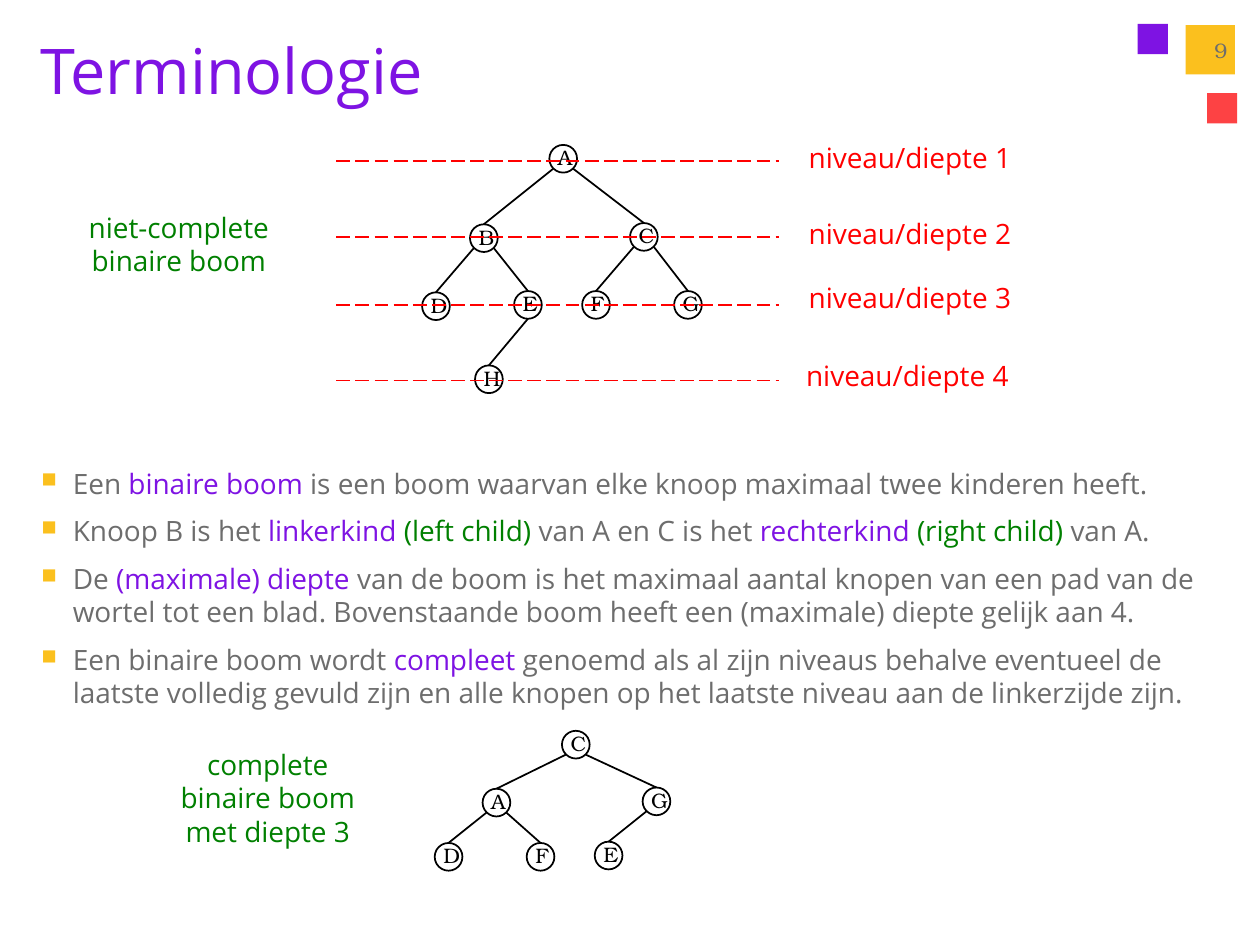
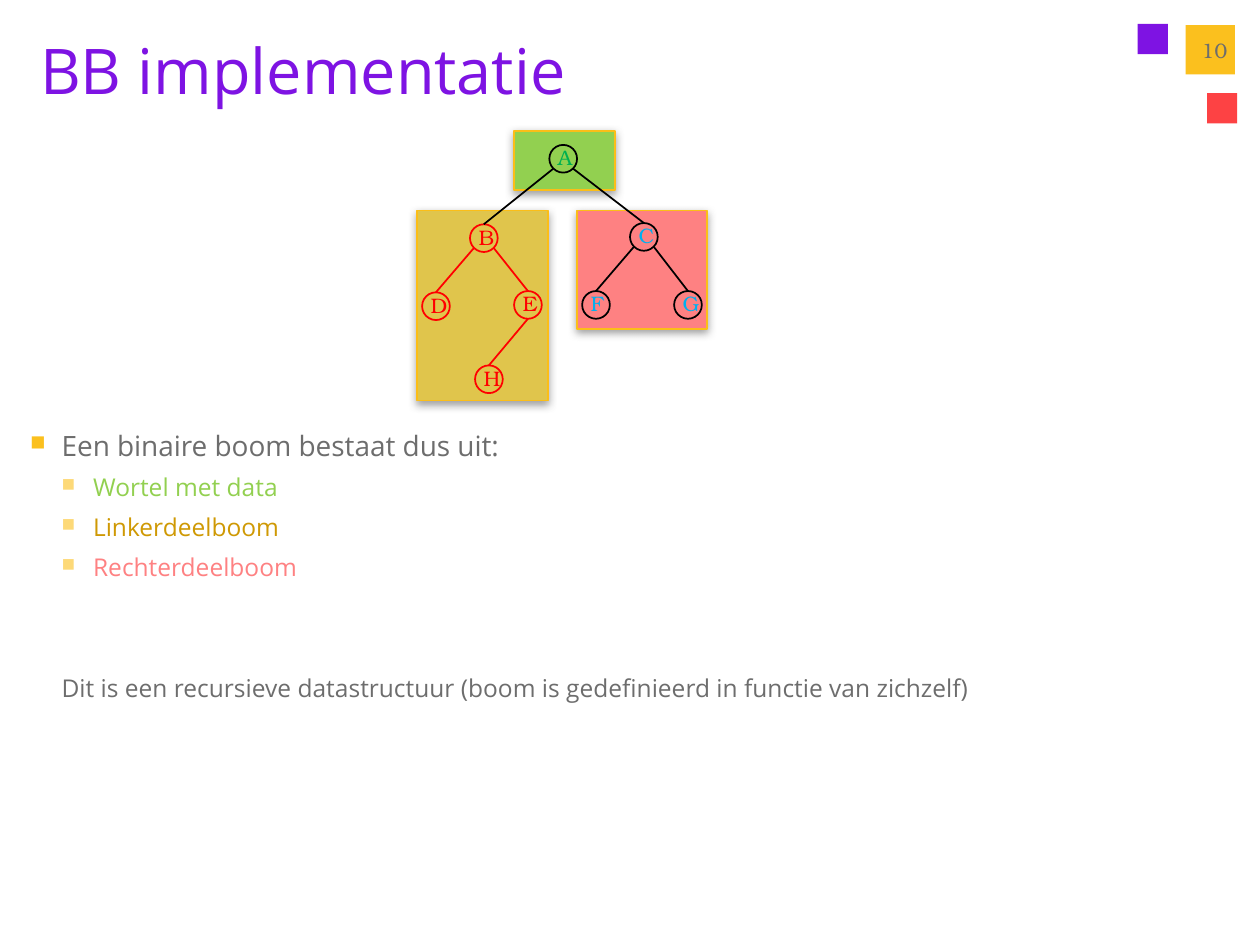
"""Build two slides on binary trees: terminology and implementation."""
from lxml import etree
from pptx import Presentation
from pptx.dml.color import RGBColor
from pptx.enum.dml import MSO_LINE
from pptx.enum.shapes import MSO_CONNECTOR, MSO_SHAPE
from pptx.enum.text import MSO_ANCHOR, PP_ALIGN
from pptx.oxml.ns import qn
from pptx.util import Inches, Pt

RECTANGLE, ELLIPSE = MSO_SHAPE.RECTANGLE, MSO_SHAPE.OVAL
STRAIGHT, LONG_DASH = MSO_CONNECTOR.STRAIGHT, MSO_LINE.LONG_DASH
CENTER, RIGHT = PP_ALIGN.CENTER, PP_ALIGN.RIGHT
TOP, MIDDLE = MSO_ANCHOR.TOP, MSO_ANCHOR.MIDDLE
SANS, SERIF = "Open Sans", "TeX Gyre Bonum"

COLORS = {
    "purple": "7E13E3", "coral": "FD4244", "gold": "FBC01E", "pale gold": "FDD978",
    "gray": "6D6D6D", "black": "000000", "red": "FF0000", "green": "008000",
    "blue": "00B0F0", "leaf": "00B050", "lime": "92D050", "mustard": "E0C54C",
    "salmon": "FE8182", "ochre": "CF9904", "border": "FBBE18", "shadow": "808080",
}
DECORATIONS = [
    ("purple", 9.03, 0.19, 0.24), ("coral", 9.58, 0.74, 0.24), ("gold", 9.41, 0.2, 0.39),
]

BIG_TREE = {
    "A": (4.47, 1.26), "B": (3.84, 1.89), "C": (5.11, 1.88), "D": (3.46, 2.43),
    "E": (4.19, 2.42), "F": (4.73, 2.42), "G": (5.46, 2.42), "H": (3.88, 3.01),
}
BIG_EDGES = {"AB": -1, "AC": 1, "BD": -1, "BE": 1, "CF": -1, "CG": 1, "EH": 0}
SMALL_TREE = {
    "C": (4.57, 5.91), "A": (3.94, 6.37), "G": (5.21, 6.36),
    "D": (3.56, 6.8), "F": (4.29, 6.8), "E": (4.83, 6.79),
}
SMALL_EDGES = {"CA": -1, "CG": 1, "AD": -1, "AF": 1, "GE": -1}
LEFT_SUBTREE = {node: "red" for node in "BDEH"}
SUBTREE_INKS = {**LEFT_SUBTREE, "A": "leaf", "C": "blue", "F": "blue", "G": "blue"}

LEVELS = [(1.28, 6.32, 1.07), (1.88, 6.32, 1.67), (2.42, 6.32, 2.18), (3.02, 6.3, 2.8)]
CAPTIONS = [
    (0.59, 1.62, 1.66, 0.64, ["niet-complete", "binaire boom"]),
    (1.33, 5.88, 1.59, 0.91, ["complete", "binaire boom", "met diepte 3"]),
]
DEFINITIONS = [
    [("Een ", "gray"), ("binaire boom ", "purple"),
     ("is een boom waarvan elke knoop maximaal twee kinderen heeft.", "gray")],
    [("Knoop B is het ", "gray"), ("linkerkind ", "purple"), ("(left child) ", "green"),
     ("van A en C is het ", "gray"), ("rechterkind ", "purple"),
     ("(right child) ", "green"), ("van A.", "gray")],
    [("De ", "gray"), ("(maximale) diepte ", "purple"),
     ("van de boom is het maximaal aantal knopen van een pad van de wortel tot een blad. "
      "Bovenstaande boom heeft een (maximale) diepte gelijk aan 4.", "gray")],
    [("Een binaire boom wordt ", "gray"), ("compleet", "purple"),
     (" genoemd als al zijn niveaus behalve eventueel de laatste volledig gevuld zijn "
      "en alle knopen op het laatste niveau aan de linkerzijde zijn.", "gray")],
]
PANELS = [
    ("lime", 4.08, 1.04, 0.8, 0.47), ("salmon", 4.58, 1.67, 1.03, 0.94),
    ("mustard", 3.31, 1.67, 1.04, 1.51),
]
PARTS = [
    ("Wortel met data", "lime"), ("Linkerdeelboom", "ochre"), ("Rechterdeelboom", "salmon"),
]

MAIN = {"size": 16, "indent": 0.25, "bullet": "gold", "before": 8}
SUB = {"size": 14, "indent": 0.5, "bullet": "pale gold", "before": 6, "level": 1}
CLOSING = {"size": 14, "indent": 0.25, "before": 52, "level": 1}


def rgb(name):
    return RGBColor.from_string(COLORS[name])


def add_bullet(para, indent, color):
    """Set the hanging indent and the square bullet of a paragraph."""
    props = para._p.get_or_add_pPr()
    props.set("marL", str(Inches(indent)))
    if color is None:
        props.set("indent", "0")
        etree.SubElement(props, qn("a:buNone"))
        return
    props.set("indent", str(-Inches(0.25)))
    paint = etree.SubElement(props, qn("a:buClr"))
    etree.SubElement(paint, qn("a:srgbClr"), val=COLORS[color])
    etree.SubElement(props, qn("a:buSzPct"), val="75000")
    etree.SubElement(props, qn("a:buChar"), char="■")


def add_spans(para, spans, size, font=SANS):
    for text, color in spans:
        span = para.add_run()
        span.text = text
        for name, value in {"name": font, "size": Pt(size)}.items():
            setattr(span.font, name, value)
        span.font.color.rgb = rgb(color)


def add_box(page, place, wrap=True, anchor=TOP):
    frame = page.shapes.add_textbox(*map(Inches, place)).text_frame
    for name, value in {"word_wrap": wrap, "vertical_anchor": anchor}.items():
        setattr(frame, name, value)
    return frame


def add_text(page, place, lines, color, size, font=SANS, align=None, **frame_format):
    frame = add_box(page, place, **frame_format)
    for index, line in enumerate(lines):
        para = frame.add_paragraph() if index else frame.paragraphs[0]
        para.alignment = align
        add_spans(para, [(line, color)], size, font)


def add_body(page, place, items):
    frame = add_box(page, place)
    for index, (spans, style) in enumerate(items):
        para = frame.add_paragraph() if index else frame.paragraphs[0]
        values = {"level": style.get("level", 0),
                  "space_before": Pt(style["before"] if index else 20)}
        for name, value in values.items():
            setattr(para, name, value)
        add_bullet(para, style["indent"], style.get("bullet"))
        add_spans(para, spans, style["size"])


def add_figure(page, kind, place, fill=None, line=None):
    figure = page.shapes.add_shape(kind, *map(Inches, place))
    figure.shadow.inherit = False
    if fill:
        figure.fill.solid()
        figure.fill.fore_color.rgb = rgb(fill)
    else:
        figure.fill.background()
    if line:
        figure.line.color.rgb = rgb(line)
        figure.line.width = Pt(1)
    else:
        figure.line.fill.background()
    return figure


def add_line(page, start, end, color, dash=None):
    line = page.shapes.add_connector(STRAIGHT, *map(Inches, start + end))
    line.line.color.rgb = rgb(color)
    for name, value in {"width": Pt(1), "dash_style": dash}.items():
        setattr(line.line, name, value)
    etree.SubElement(line._element.spPr, qn("a:effectLst"))


def add_panel(page, fill, *place):
    panel = add_figure(page, RECTANGLE, place, fill, "border")
    effects = panel._element.spPr.find(qn("a:effectLst"))
    shadow = etree.SubElement(effects, qn("a:outerShdw"), blurRad=str(Pt(5)),
                              dist=str(Pt(2)), dir="5400000", rotWithShape="0")
    paint = etree.SubElement(shadow, qn("a:srgbClr"), val=COLORS["shadow"])
    etree.SubElement(paint, qn("a:alpha"), val="75000")


def add_tree(page, nodes, edges, rings, inks):
    """Draw ringed letters; an edge leaves its parent left (-1), right (1) or below (0)."""
    radius, slant = 0.11, 0.08
    for node, (x, y) in nodes.items():
        add_text(page, (x - 0.14, y - 0.16, 0.3, 0.3), [node], inks.get(node, "black"),
                 12, SERIF, CENTER, wrap=False)
        add_figure(page, ELLIPSE, (x - radius, y - radius, 2 * radius, 2 * radius),
                   line=rings.get(node, "black"))
    for (parent, child), side in edges.items():
        (x, y), (child_x, child_y) = nodes[parent], nodes[child]
        start = (x + side * slant, y + (slant if side else radius))
        add_line(page, start, (child_x, child_y - radius), rings.get(parent, "black"))


def add_page(deck, title, number):
    page = deck.slides.add_slide(deck.slide_layouts[6])
    for color, left, top, side in DECORATIONS:
        add_figure(page, RECTANGLE, (left, top, side, side), color)
    add_text(page, (0.22, 0.2, 8.26, 0.84), [title], "purple", 36)
    add_text(page, (9.33, 0.2, 0.51, 0.4), [str(number)], "gray", 12, SERIF, RIGHT,
             anchor=MIDDLE)
    return page


def build_terminology(deck):
    page = add_page(deck, "Terminologie", 9)
    add_tree(page, BIG_TREE, BIG_EDGES, {}, {})
    for depth, (y, left, top) in enumerate(LEVELS, 1):
        add_line(page, (2.67, y), (6.18, y), "red", LONG_DASH)
        add_text(page, (left, top, 1.83, 0.37), [f"niveau/diepte {depth}"], "red", 16,
                 wrap=False)
    add_body(page, (0.23, 3.65, 9.77, 3.25), [(spans, MAIN) for spans in DEFINITIONS])
    add_tree(page, SMALL_TREE, SMALL_EDGES, {}, {})
    for *place, lines in CAPTIONS:
        add_text(page, place, lines, "green", 16, align=CENTER, wrap=False)


def build_implementation(deck):
    page = add_page(deck, "BB implementatie", 10)
    for panel in PANELS:
        add_panel(page, *panel)
    add_tree(page, BIG_TREE, BIG_EDGES, LEFT_SUBTREE, SUBTREE_INKS)
    closing = "Dit is een recursieve datastructuur (boom is gedefinieerd in functie van zichzelf)"
    items = [([("Een binaire boom bestaat dus uit:", "gray")], MAIN)]
    items += [([part], SUB) for part in PARTS]
    items.append(([(closing, "gray")], CLOSING))
    add_body(page, (0.14, 3.35, 9.78, 3.08), items)


deck = Presentation()
deck.slide_width, deck.slide_height = Inches(10), Inches(7.5)
build_terminology(deck)
build_implementation(deck)
deck.save("out.pptx")
